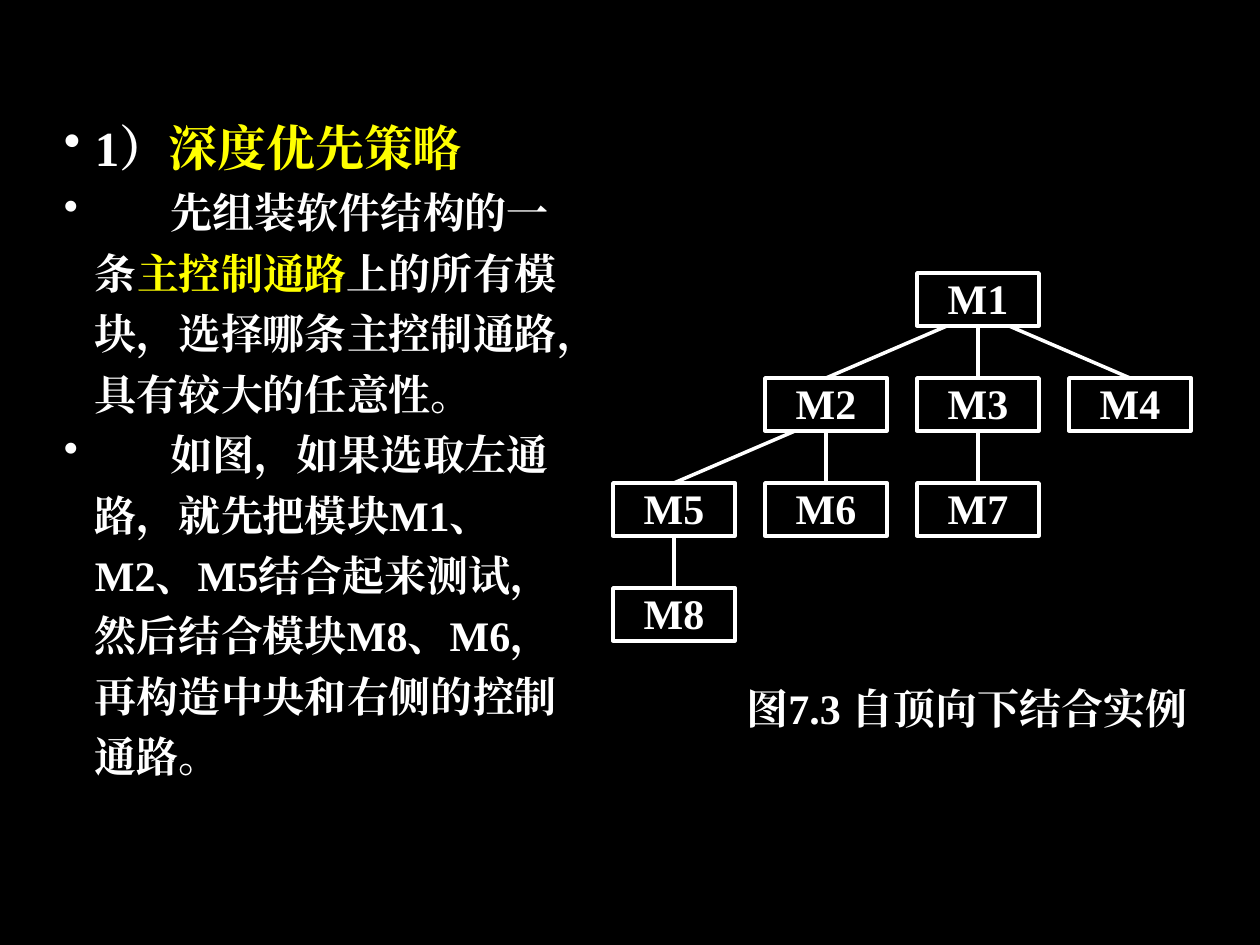
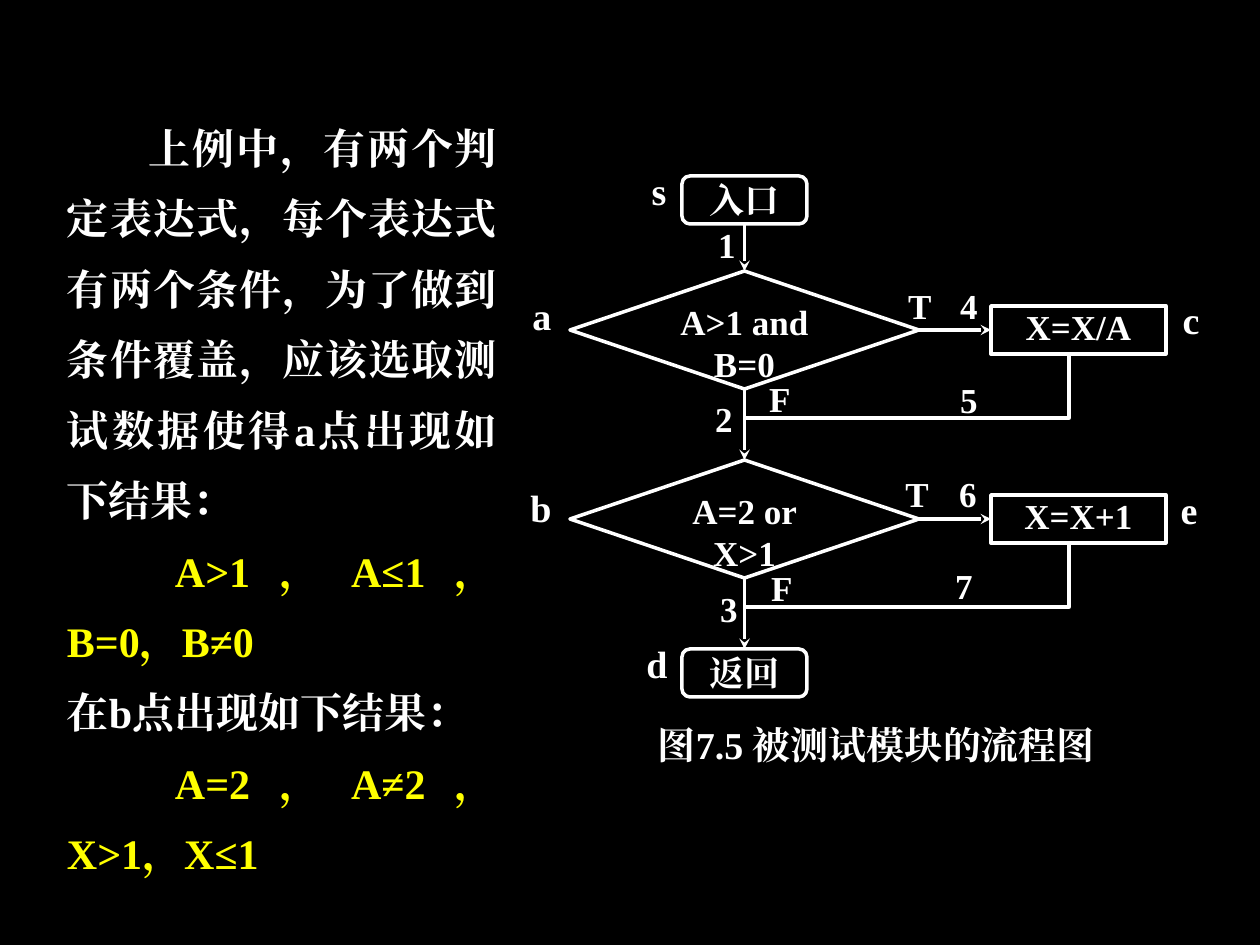
import pptx
import pptx.util
import pptx.oxml.ns
import pptx.dml.color
import pptx.enum.shapes
import pptx.enum.text
from lxml import etree

KIND = pptx.enum.shapes.MSO_SHAPE
ALIGN = pptx.enum.text.PP_ALIGN
SCALE = 914400 / 126

THEME = {
    "back": "000000", "ink": "FFFFFF", "mark": "FFFF00",
    "font": "Times New Roman", "line": 2,
    "head": 28, "body": 24, "node": 20, "note": 21.7,
}

# Each paragraph is a size name, a first-line gap and its coloured runs.
DEPTH = [
    ("head", 0, [("1）", "ink"), ("深度优先策略", "mark")]),
    ("body", 76, [("先组装软件结构的一条", "ink"), ("主控制通路", "mark"),
                  ("上的所有模块，选择哪条主控制通路，具有较大的任意性。", "ink")]),
    ("body", 76, [("如图，如果选取左通路，就先把模块M1、M2、M5结合起来测试，"
                   "然后结合模块M8、M6，再构造中央和右侧的控制通路。", "ink")]),
]
COVER = [
    ("body", 82, [("上例中，有两个判定表达式，每个表达式有两个条件，为了做到条件覆盖，"
                   "应该选取测试数据使得a点出现如下结果：", "ink")]),
    ("body", 108, [("A>1，A≤1，B=0，B≠0", "mark")]),
    ("body", 0, [("在b点出现如下结果：", "ink")]),
    ("body", 108, [("A=2，A≠2，X>1，X≤1", "mark")]),
]

# Module: column, row
TREE = {"M1": (2, 0), "M2": (1, 1), "M3": (2, 1), "M4": (3, 1),
        "M5": (0, 2), "M6": (1, 2), "M7": (2, 2), "M8": (0, 3)}
CALLS = [("M1", "M2"), ("M1", "M3"), ("M1", "M4"), ("M2", "M5"),
         ("M2", "M6"), ("M3", "M7"), ("M5", "M8")]

TESTS = [("A>1 and B=0", "X=X/A"), ("A=2 or X>1", "X=X+1")]
POINTS = [("s", 622, 176), ("a", 505, 301), ("b", 504, 493),
          ("d", 620, 649), ("c", 1154, 305), ("e", 1152, 495)]
PATHS = [("T", 883, 284), ("T", 880, 472), ("F", 743, 377), ("F", 745, 566),
         ("1", 690, 223), ("2", 687, 397), ("3", 692, 587), ("4", 932, 284),
         ("5", 932, 378), ("6", 931, 472), ("7", 927, 564)]


def px(*nums):
    return [pptx.util.Emu(round(n * SCALE)) for n in nums]


def tint(name):
    return pptx.dml.color.RGBColor.from_string(THEME[name])


def add_tag(node, tag, **attrs):
    return etree.SubElement(node, pptx.oxml.ns.qn(tag), attrs)


def assign(obj, values):
    for key, value in values.items():
        setattr(obj, key, value)


def add_run(para, text, size, hue="ink"):
    run = para.add_run()
    run.text = text
    assign(run.font, {"size": pptx.util.Pt(THEME[size]), "bold": True,
                      "name": THEME["font"]})
    run.font.color.rgb = tint(hue)
    props = run.font._element
    add_tag(props, "a:ea", typeface=THEME["font"])
    return props


def set_frame(shape, side=0, edge=0):
    frame = shape.text_frame
    left, top = px(side, edge)
    assign(frame, {"word_wrap": True, "margin_left": left, "margin_right": left,
                   "margin_top": top, "margin_bottom": top,
                   "vertical_anchor": pptx.enum.text.MSO_ANCHOR.TOP})
    return frame


def write(shape, text, size, pitch=None):
    para = set_frame(shape).paragraphs[0]
    assign(para, {"alignment": ALIGN.CENTER, "line_spacing": pitch})
    add_run(para, text, size)


def add_label(slide, text, box, size, pitch=None):
    write(slide.shapes.add_textbox(*px(*box)), text, size, pitch)


def stroke(item):
    item.line.color.rgb = tint("ink")
    item.line.width = pptx.util.Pt(THEME["line"])


def add_node(slide, kind, text, box, size):
    node = slide.shapes.add_shape(kind, *px(*box))
    node.shadow.inherit = False
    node.fill.background()
    stroke(node)
    write(node, text, size)
    return node


def link(slide, start, end, out=2, into=0, shift=0, arrow=False):
    """Join two nodes; a shift moves the start off the side's middle."""
    x = start.left + start.width // 2 + px(shift)[0]
    wire = slide.shapes.add_connector(
        pptx.enum.shapes.MSO_CONNECTOR.STRAIGHT, x, start.top + start.height, 0, 0)
    if not shift:
        wire.begin_connect(start, out)
    wire.end_connect(end, into)
    stroke(wire)
    if arrow:
        add_tag(wire.line._get_or_add_ln(), "a:tailEnd", type="stealth")
    add_tag(wire._element.spPr, "a:effectLst")


def add_body(slide, box, paras, side, pitch, bullet=False):
    frame = set_frame(slide.shapes.add_textbox(*px(*box)), side, 6)
    for i, (size, gap, runs) in enumerate(paras):
        para = frame.add_paragraph() if i else frame.paragraphs[0]
        props = para._p.get_or_add_pPr()
        hang = px(31)[0]
        if bullet:
            props.set("marL", str(hang))
            props.set("indent", str(-hang))
            add_tag(add_tag(props, "a:buClr"), "a:srgbClr", val=THEME["ink"])
            add_tag(props, "a:buChar", char="•")
            if gap:
                # One widened space sets the text off from its bullet.
                space = THEME[size] / 4
                wide = gap * 72 / 126 - space
                add_run(para, " ", size).set("spc", str(round(wide * 100)))
        else:
            props.set("indent", str(px(gap)[0]))
        left = bullet and i > 0
        assign(para, {"line_spacing": pitch,
                      "alignment": ALIGN.LEFT if left else ALIGN.JUSTIFY})
        for text, hue in runs:
            add_run(para, text, size, hue)


def draw_tree(slide):
    add_body(slide, (64, 100, 496, 714), DEPTH, 0, 1.2, bullet=True)
    nodes = {name: add_node(slide, KIND.RECTANGLE, name,
                            (613 + 152 * col, 273 + 105 * row, 122, 53), "body")
             for name, (col, row) in TREE.items()}
    for top, low in CALLS:
        link(slide, nodes[top], nodes[low], shift=31 * (TREE[low][0] - TREE[top][0]))
    add_label(slide, "图7.3 自顶向下结合实例", (708, 683, 518, 53), "body")


def draw_flow(slide):
    step = 189
    ends = [add_node(slide, KIND.FLOWCHART_ALTERNATE_PROCESS, text,
                     (682, y, 125, 48), "node")
            for text, y in (("入口", 176), ("返回", 649))]
    chain = ends[:1]
    for i, (test, act) in enumerate(TESTS):
        drop = i * step
        fork = add_node(slide, KIND.FLOWCHART_DECISION, test,
                        (570, 271 + drop, 349, 118), "node")
        work = add_node(slide, KIND.RECTANGLE, act,
                        (991, 306 + drop, 175, 48), "node")
        link(slide, fork, work, out=3, into=1, arrow=True)
        chain.append(fork)
        pen = slide.shapes.build_freeform(*px(1069, 354 + drop), scale=1.0)
        pen.add_line_segments([px(1069, 418 + drop), px(745, 418 + drop)], close=False)
        back = pen.convert_to_shape()
        back.shadow.inherit = False
        back.fill.background()
        stroke(back)
    chain.append(ends[1])
    for start, end in zip(chain, chain[1:]):
        link(slide, start, end, arrow=True)
    for group, size, pitch in ((POINTS, "note", 0.8), (PATHS, "node", None)):
        for text, x, y in group:
            add_label(slide, text, (x, y, 74, 47), size, pitch)
    add_label(slide, "图7.5 被测试模块的流程图", (577, 730, 599, 47), "note", 0.8)
    add_body(slide, (54, 96, 456, 789), COVER, 13, 1.4)


def main():
    deck = pptx.Presentation()
    deck.slide_width, deck.slide_height = px(1260, 945)
    fill = deck.slide_master.background.fill
    fill.solid()
    fill.fore_color.rgb = tint("back")
    for draw in (draw_tree, draw_flow):
        draw(deck.slides.add_slide(deck.slide_layouts[6]))
    deck.save("out.pptx")


if __name__ == "__main__":
    main()
